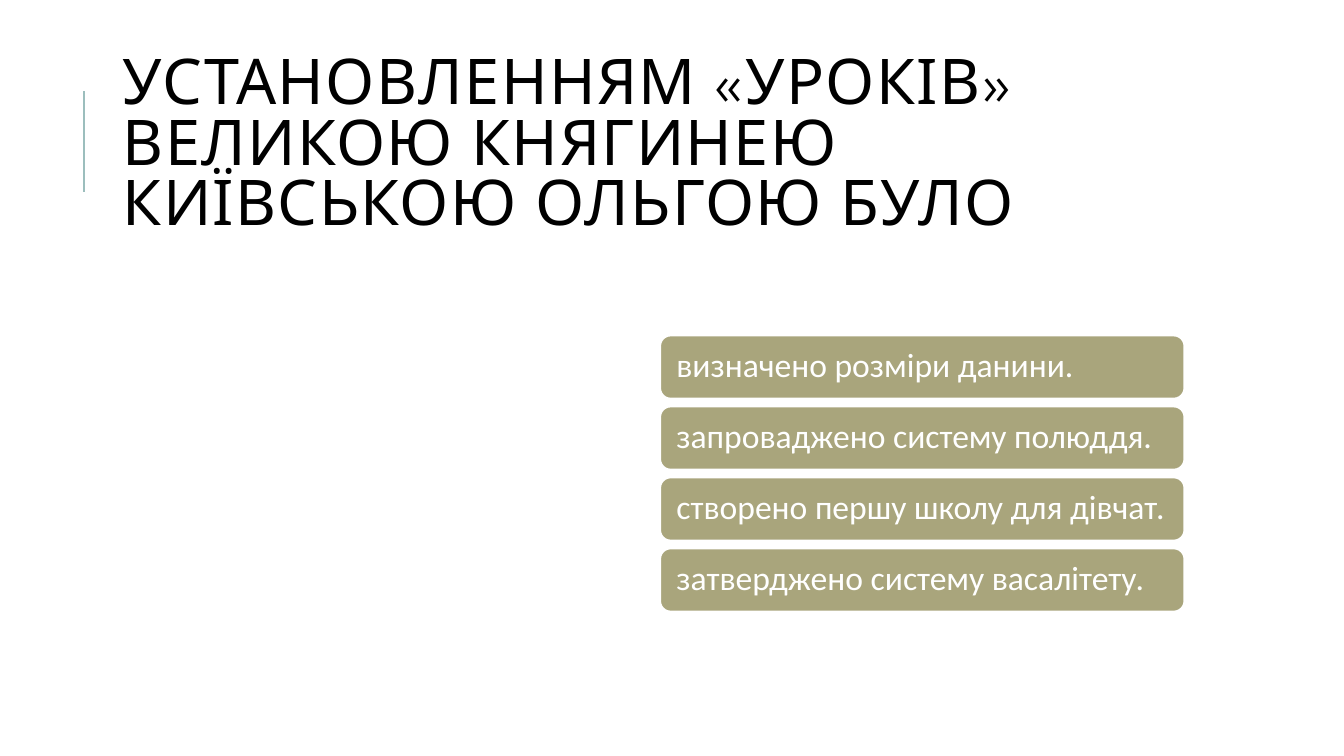
from dataclasses import dataclass
from pptx import Presentation
from pptx.dml.color import RGBColor
from pptx.enum.shapes import MSO_CONNECTOR, MSO_SHAPE
from pptx.enum.text import MSO_ANCHOR, MSO_AUTO_SIZE, PP_ALIGN
from pptx.oxml.ns import qn
from pptx.util import Pt
from lxml.etree import SubElement


@dataclass(frozen=True)
class Theme:
    ink: RGBColor = RGBColor(0, 0, 0)
    white: RGBColor = RGBColor(255, 255, 255)
    olive: RGBColor = RGBColor(0xA9, 0xA5, 0x7C)
    teal: RGBColor = RGBColor(0x9C, 0xBE, 0xBD)
    head: str = "League Spartan"
    body: str = "Calibri"
    big: int = 45
    mid: int = 24


THEME = Theme()
TITLE = "УСТАНОВЛЕННЯМ «УРОКІВ» ВЕЛИКОЮ КНЯГИНЕЮ КИЇВСЬКОЮ ОЛЬГОЮ БУЛО"
ITEMS = [
    "визначено розміри данини.",
    "запроваджено систему полюддя.",
    "створено першу школу для дівчат.",
    "затверджено систему васалітету.",
]


def style(item, values):
    for name, value in values.items():
        setattr(item, name, value)


def write(shape, text, side, lines, font, size, color):
    frame = shape.text_frame
    style(frame, {
        "text": text, "word_wrap": True, "auto_size": MSO_AUTO_SIZE.NONE,
        "vertical_anchor": MSO_ANCHOR.MIDDLE,
        "margin_left": Pt(side), "margin_right": Pt(side),
        "margin_top": Pt(7.2), "margin_bottom": Pt(7.2),
    })
    para = frame.paragraphs[0]
    style(para, {"alignment": PP_ALIGN.LEFT, "line_spacing": lines})
    run = para.runs[0]
    style(run.font, {"name": font, "size": Pt(size), "bold": False})
    run.font.color.rgb = color
    return run


def add_title(slide):
    title = slide.shapes.title
    style(title, {"left": Pt(80.6), "top": Pt(46), "width": Pt(765.4), "height": Pt(118)})
    run = write(title, TITLE, 7.2, 0.8, THEME.head, THEME.big, THEME.ink)
    # Letter spacing of one point
    run.font._element.set("spc", "100")


def add_rule(slide):
    rule = slide.shapes.add_connector(
        MSO_CONNECTOR.STRAIGHT, Pt(60), Pt(136.8), Pt(60), Pt(64.8))
    rule.line.color.rgb = THEME.teal
    rule.line.width = Pt(1.5)
    SubElement(rule._element.spPr, qn("a:effectLst"))


def add_bar(slide, text, top):
    bar = slide.shapes.add_shape(
        MSO_SHAPE.ROUNDED_RECTANGLE, Pt(471.6), Pt(top), Pt(374.4), Pt(45))
    bar.shadow.inherit = False
    bar.fill.solid()
    bar.fill.fore_color.rgb = THEME.olive
    bar.line.color.rgb = THEME.white
    bar.line.width = Pt(1.25)
    write(bar, text, 9.4, 0.9, THEME.body, THEME.mid, THEME.white)


def main():
    deck = Presentation()
    style(deck, {"slide_width": Pt(960), "slide_height": Pt(540)})
    slide = deck.slides.add_slide(deck.slide_layouts[5])
    # Heading with its side rule
    add_rule(slide)
    add_title(slide)
    # Answer choices, evenly stacked
    for row, text in enumerate(ITEMS):
        add_bar(slide, text, 239.7 + 50.7 * row)
    deck.save("out.pptx")


if __name__ == "__main__":
    main()
